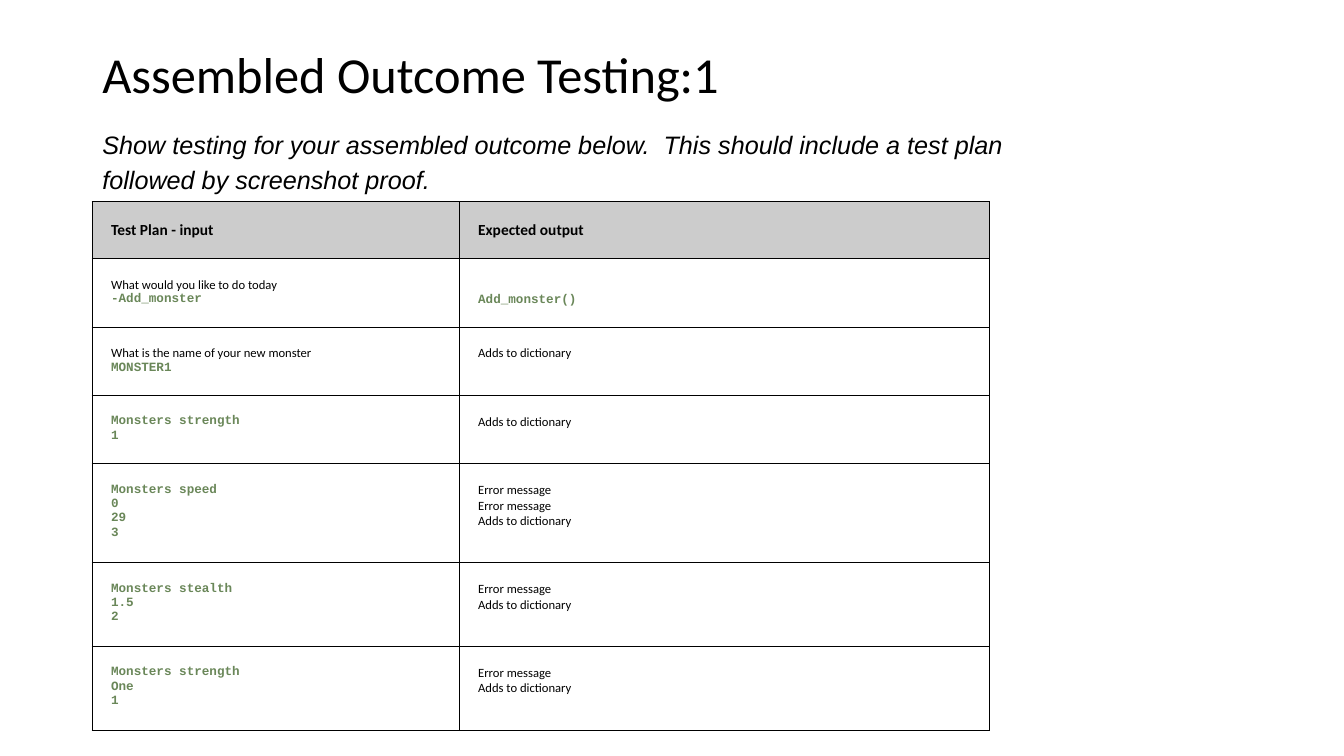
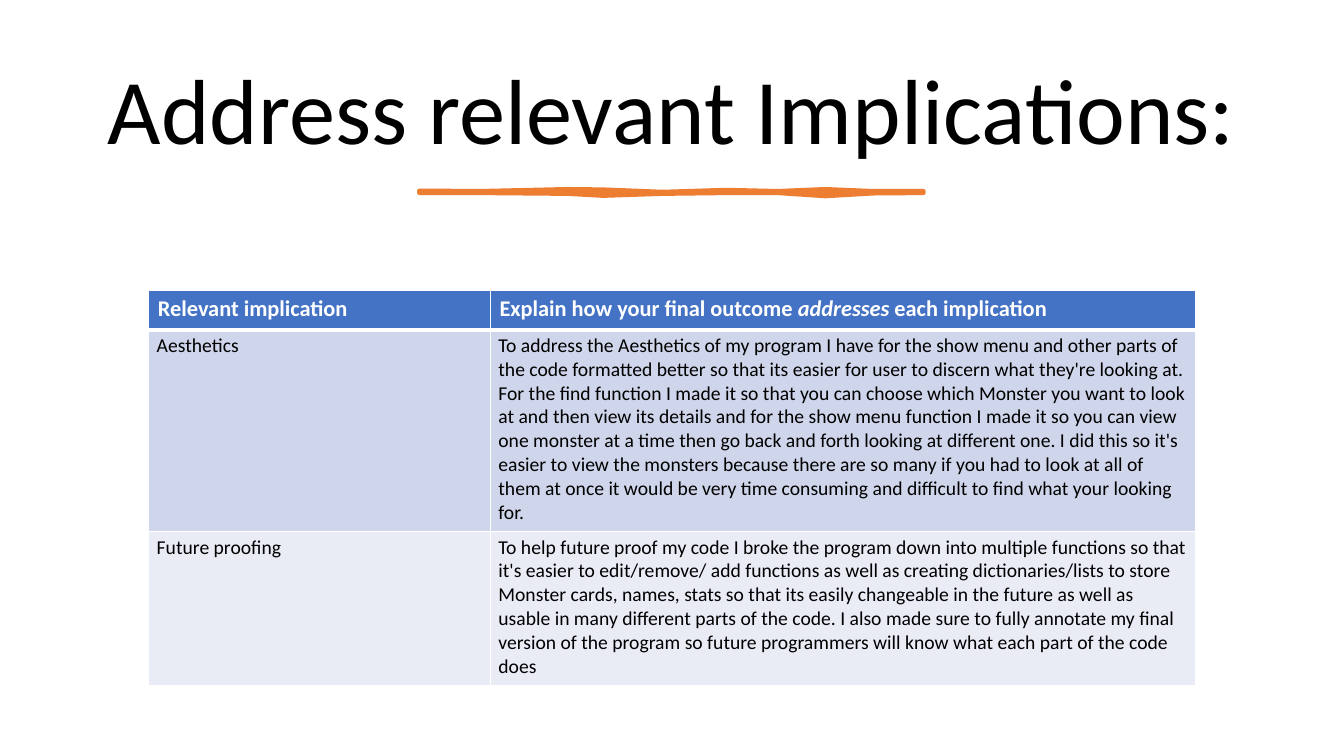
"""Builds two slides: a test plan table and a table of relevant implications."""
from lxml import etree
from pptx import Presentation, util as u
from pptx.dml.color import RGBColor
from pptx.enum import text
from pptx.oxml.ns import qn

rgb = RGBColor.from_string
BLACK, WHITE, GREY, GREEN = "000000", "FFFFFF", "CCCCCC", "6A8759"
BLUE, BAND_DARK, BAND_LIGHT, ORANGE = "4472C4", "CFD5EA", "E9EBF5", "ED7D31"

TITLE = ("Calibri", 36, BLACK, False, False)
BIG_TITLE = ("Calibri", 66, BLACK, False, False)
INTRO = ("Arial", 18, BLACK, False, True)
PLAN_HEAD = ("Calibri", 11, BLACK, True, False)
PLAIN = ("Calibri", 9, BLACK, False, False)
CODE = ("Courier New", 9, GREEN, True, False)
HEAD = ("Calibri", 16, WHITE, True, False)
HEAD_ITALIC = ("Calibri", 16, WHITE, True, True)
BODY = ("Calibri", 14, BLACK, False, False)


def write(tf, paragraphs, spacing=1.0, align=text.PP_ALIGN.LEFT):
    tf.word_wrap = True
    for i, runs in enumerate(paragraphs):
        p = tf.add_paragraph() if i else tf.paragraphs[0]
        p.line_spacing, p.alignment = spacing, align
        for words, (font, size, color, bold, italic) in runs:
            r = p.add_run()
            r.text = words
            r.font.name, r.font.size = font, u.Pt(size)
            r.font.bold, r.font.italic = bold, italic
            r.font.color.rgb = rgb(color)


def add_table(s, left, top, widths, heights, rows, fills, margins, line, head_line):
    tbl = s.shapes.add_table(len(rows), len(widths), u.Cm(left), u.Cm(top),
                             u.Cm(sum(widths)), u.Cm(sum(heights))).table
    for col, width in zip(tbl.columns, widths):
        col.width = u.Cm(width)
    color, weight = line
    for i, (row, height, fill, margin) in enumerate(zip(rows, heights, fills, margins)):
        tbl.rows[i].height = u.Cm(height)
        for j, paragraphs in enumerate(row):
            cell = tbl.cell(i, j)
            cell.margin_left = cell.margin_right = u.Cm(margin[0])
            cell.margin_top = cell.margin_bottom = u.Cm(margin[1])
            write(cell.text_frame, paragraphs)
            for side in "LRTB":
                thick = (side, i) in (("B", 0), ("T", 1))
                ln = etree.SubElement(cell._tc.get_or_add_tcPr(), qn(f"a:ln{side}"),
                                      w=str(u.Pt(head_line if thick else weight)))
                solid = etree.SubElement(ln, qn("a:solidFill"))
                etree.SubElement(solid, qn("a:srgbClr"), val=color)
            if fill:
                cell.fill.solid()
                cell.fill.fore_color.rgb = rgb(fill)
            else:
                cell.fill.background()
    return tbl


prs = Presentation()
prs.slide_width, prs.slide_height = u.Cm(33.87), u.Cm(19.05)
blank = prs.slide_layouts[6]
plan, implications = (prs.slides.add_slide(blank) for _ in range(2))

LEFT, CENTER = text.PP_ALIGN.LEFT, text.PP_ALIGN.CENTER
MIDDLE, TOP = text.MSO_ANCHOR.MIDDLE, text.MSO_ANCHOR.TOP
for s, box, words, style, spacing, align, anchor in [
    (plan, (2.33, 1.12, 29.21, 1.63), "Assembled Outcome Testing:1",
     TITLE, 0.9, LEFT, MIDDLE),
    (plan, (2.33, 3.02, 24.36, 1.96),
     "Show testing for your assembled outcome below.  This should include "
     "a test plan followed by screenshot proof.", INTRO, 1.15, LEFT, TOP),
    (implications, (1.78, 1.15, 30.3, 3.48), "Address relevant Implications:",
     BIG_TITLE, 0.9, CENTER, MIDDLE),
]:
    tf = s.shapes.add_textbox(*(u.Cm(v) for v in box)).text_frame
    tf.vertical_anchor = anchor
    write(tf, [[(words, style)]], spacing, align)

ADDS, ERROR = [("Adds to dictionary", PLAIN)], [("Error message", PLAIN)]
tests = [
    ([[("What would you like to do today", PLAIN)], [("-Add_monster", CODE)]],
     [[("Add_monster()", CODE)]]),
    ([[("What is the name of your new monster", PLAIN)], [("MONSTER1", CODE)]], [ADDS]),
]
for inputs, outputs in [
    (["Monsters strength", "1"], [ADDS]),
    (["Monsters speed", "0", "29", "3"], [ERROR, ERROR, ADDS]),
    (["Monsters stealth", "1.5", "2"], [ERROR, ADDS]),
    (["Monsters strength", "One", "1"], [ERROR, ADDS]),
]:
    tests.append(([[(words, CODE)] for words in inputs], outputs))
plan_head = [[[(words, PLAN_HEAD)]] for words in ("Test Plan - input", "Expected output")]
tbl = add_table(plan, 2.32, 5.08, [9.25, 13.36], [1.4, 1.72, 1.72, 1.72, 2.49, 2.1, 2.11],
                [plan_head] + tests, [GREY] + [None] * len(tests),
                [(0.48, 0.48)] * 7, (BLACK, 0.75), 0.75)
tbl.cell(1, 1).margin_top = u.Cm(0.87)

brush = [(10.57, 4.81, 4.86), (12.1, 4.82, 4.86), (14.3, 4.77, 4.88), (15.2, 4.78, 4.93),
         (16.7, 4.84, 4.88), (18.3, 4.79, 4.86), (19.6, 4.82, 4.86), (20.8, 4.77, 4.94),
         (22, 4.82, 4.87), (23.27, 4.82, 4.86)]
upper = [(u.Cm(x), u.Cm(y)) for x, y, _ in brush]
lower = [(u.Cm(x), u.Cm(y)) for x, _, y in brush]
builder = implications.shapes.build_freeform(*upper[0])
builder.add_line_segments(upper[1:] + lower[::-1], close=True)
sp = builder.convert_to_shape()
sp.shadow.inherit = False
sp.fill.solid()
sp.fill.fore_color.rgb = rgb(ORANGE)
sp.line.color.rgb = rgb(ORANGE)
sp.line.width = u.Pt(3.25)

aesthetics = (
    "To address the Aesthetics of my program I have for the show menu and other parts of "
    "the code formatted better so that its easier for user to discern what they're looking at. "
    "For the find function I made it so that you can choose which Monster you want to look "
    "at and then view its details and for the show menu function I made it so you can view "
    "one monster at a time then go back and forth looking at different one. I did this so it's "
    "easier to view the monsters because there are so many if you had to look at all of "
    "them at once it would be very time consuming and difficult to find what your looking for."
)
future = (
    "To help future proof my code I broke the program down into multiple functions so "
    "that it's easier to edit/remove/ add functions as well as creating dictionaries/lists to "
    "store Monster cards, names, stats so that its easily changeable in the future as well as "
    "usable in many different parts of the code. I also made sure to fully annotate my final "
    "version of the program so future programmers will know what each part of the code does"
)
head = [
    [[("Relevant implication", HEAD)]],
    [[("Explain how your final outcome ", HEAD), ("addresses", HEAD_ITALIC),
      (" each implication", HEAD)]],
]
body = [[[[(words, BODY)]] for words in row]
        for row in [("Aesthetics", aesthetics), ("Future proofing", future)]]
add_table(implications, 3.75, 7.33, [8.61, 17.76], [0.98, 5.08, 3.88], [head] + body,
          [BLUE, BAND_DARK, BAND_LIGHT], [(0.23, 0.11), (0.2, 0.1), (0.2, 0.1)],
          (WHITE, 1), 3)

prs.save("out.pptx")
